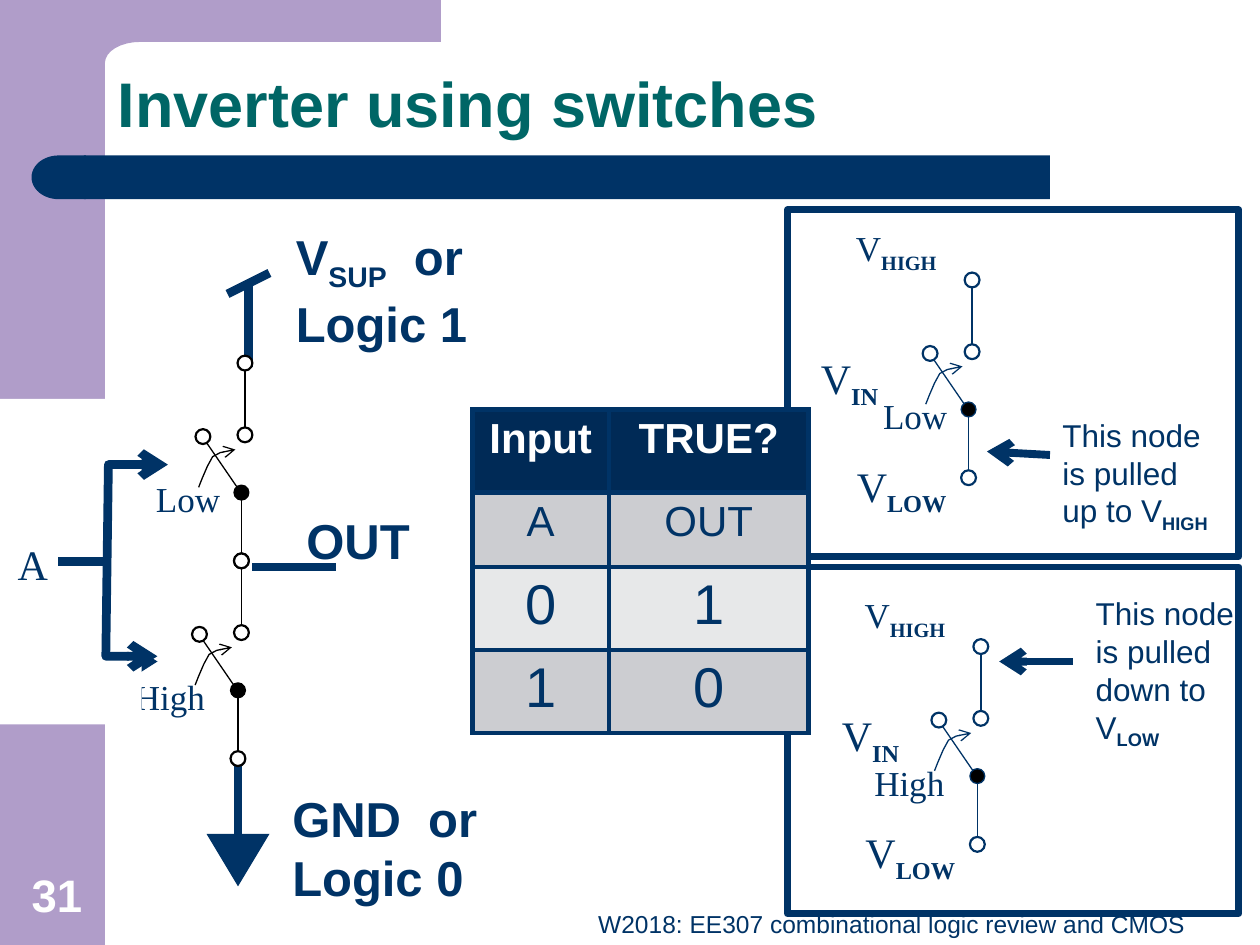
from math import cos, pi, sin

from lxml.etree import SubElement
from pptx import Presentation
from pptx.dml.color import RGBColor
from pptx.enum.shapes import MSO_CONNECTOR, MSO_SHAPE
from pptx.enum.text import MSO_ANCHOR, MSO_AUTO_SIZE, PP_ALIGN
from pptx.oxml.ns import qn
from pptx.util import Pt

COLOURS = {name: RGBColor.from_string(value) for name, value in {
    "navy": "003366", "teal": "006666", "lilac": "B09DC9", "white": "FFFFFF",
    "black": "000000", "header": "002A56", "dark band": "CCCDD1",
    "light band": "E7E8E9",
}.items()}
SERIF = "Times New Roman"

deck = Presentation()
deck.slide_width, deck.slide_height = Pt(720), Pt(540)
page = deck.slides.add_slide(deck.slide_layouts[5])
shapes = page.shapes


def write_text(text, frame=None, at=None, size=18, font="Arial", colour="navy",
               bold=False, align=PP_ALIGN.LEFT, anchor=MSO_ANCHOR.TOP, wrap=True):
    """Fill a frame, or a new box at (left, top, width, height).

    A newline starts a paragraph; text between underscores is a bold subscript.
    """
    if frame is None:
        frame = shapes.add_textbox(*map(Pt, at)).text_frame
    frame.word_wrap = wrap
    frame.auto_size = MSO_AUTO_SIZE.NONE
    frame.vertical_anchor = anchor
    for number, line in enumerate(text.split("\n")):
        para = frame.add_paragraph() if number else frame.paragraphs[0]
        para.alignment = align
        for position, part in enumerate(line.split("_")):
            if not part:
                continue
            subscript = position % 2 == 1
            span = para.add_run()
            span.text = part
            span.font.name, span.font.size = font, Pt(size)
            span.font.bold = bold or subscript
            span.font.color.rgb = COLOURS[colour]
            if subscript:
                span._r.get_or_add_rPr().set("baseline", "-25000")


def draw_line(points, colour="navy", weight=5, ends=()):
    """Draw a connector for two points or an open outline for more.

    ends holds "headEnd" and "tailEnd" for arrowheads at the start and the end.
    """
    points = [(Pt(x), Pt(y)) for x, y in points]
    if len(points) == 2:
        line = shapes.add_connector(MSO_CONNECTOR.STRAIGHT, *points[0], *points[1])
        SubElement(line._element.spPr, qn("a:effectLst"))
    else:
        builder = shapes.build_freeform(*points[0])
        builder.add_line_segments(points[1:], close=False)
        line = builder.convert_to_shape()
        line.fill.background()
        line.shadow.inherit = False
    line.line.color.rgb = COLOURS[colour]
    line.line.width = Pt(weight)
    for end in ends:
        SubElement(line.line._get_or_add_ln(), qn(f"a:{end}")).set("type", "arrow")


# Background decoration
corner = [(80 - 20 * sin(step * pi / 16), 36 - 12 * cos(step * pi / 16))
          for step in range(9)]
outline = [(252, 0), (252, 24), *corner, (36, 36), (36, 0)]
builder = shapes.build_freeform(Pt(252), Pt(0))
builder.add_line_segments([(Pt(x), Pt(y)) for x, y in outline[1:]])
decorations = [(builder.convert_to_shape(), "lilac")]
for kind, place, colour in [
    (MSO_SHAPE.RECTANGLE, (0, 0, 60, 540), "lilac"),
    (MSO_SHAPE.RECTANGLE, (48, 88.8, 552, 25), "navy"),
    (MSO_SHAPE.FLOWCHART_DELAY, (18, 88.8, 31, 25), "navy"),
    (MSO_SHAPE.ISOSCELES_TRIANGLE, (118, 476.5, 36, 30), "navy"),
]:
    decorations.append((shapes.add_shape(kind, *map(Pt, place)), colour))
for shape, colour in decorations:
    shape.shadow.inherit = False
    shape.fill.solid()
    shape.fill.fore_color.rgb = COLOURS[colour]
    shape.line.fill.background()
for shape, _ in decorations[-2:]:
    shape.rotation = 180

title = shapes.title
title.left, title.top, title.width, title.height = map(Pt, (60, 24, 624, 60))
write_text("Inverter using switches", title.text_frame, size=36, colour="teal",
           bold=True, anchor=MSO_ANCHOR.BOTTOM)
title.text_frame.paragraphs[0].line_spacing = 0.9
write_text("W2018: EE307 combinational logic review and CMOS",
           at=(246, 516, 438.5, 24), size=14, align=PP_ALIGN.RIGHT)

# Supply and ground
draw_line([(136, 435), (136, 483)])
draw_line([(142, 162), (142, 210)])
draw_line([(154, 156), (130, 168)])
write_text("GND  or\nLogic 0", at=(160, 447, 122, 75), size=28, bold=True, wrap=False)
write_text("V_SUP_  or\nLogic 1", at=(162, 126, 116, 75), size=28, bold=True, wrap=False)

# Switches, placed by the centre of the pivot dot
WIRES = [((0, 0), (0, 37)), ((1, 2), (-23, -33)), ((2, -33), (2, -75))]
CONTACTS = [(0, 0), (-22, -32), (2, -33), (0, 39), (2, -74)]
SWING = [(0, 0), (2, -5), (5, -12), (8, -17.5), (12.3, -19.8), (17, -20.8), (21, -21.6)]
for x, y, colour, level in [(138, 281.5, "black", "Low"), (136, 394.5, "black", "High"),
                            (553.5, 234, "navy", "Low"), (558.5, 443.5, "navy", "High")]:
    for wire in WIRES:
        draw_line([(x + dx, y + dy) for dx, dy in wire], colour, 0.75)
    for number, (dx, dy) in enumerate(CONTACTS):
        contact = shapes.add_shape(MSO_SHAPE.OVAL, Pt(x + dx - 4.25), Pt(y + dy - 4.25),
                                   Pt(8.5), Pt(8.5))
        contact.shadow.inherit = False
        contact.fill.solid()
        contact.fill.fore_color.rgb = COLOURS["white" if number else "black"]
        contact.line.color.rgb = COLOURS[colour]
        contact.line.width = Pt(1.25 if number else 0.75)
    draw_line([(x - 24.5 + dx, y - 3 + dy) for dx, dy in SWING], colour, 0.75, ["tailEnd"])
    write_text(level, at=(x - (56 if level == "Low" else 66), y - 12, 76, 44),
               size=20, font=SERIF)

# Labels of the two panels
for x, y, input_at, note, note_at, arrow in [
    (553.5, 234, (462, 198), "This node is pulled up to V_HIGH", (600, 234, 104.5, 73),
     [(600, 260), (564, 258)]),
    (558.5, 443.5, (474, 402), "This node is pulled down to V_LOW", (619, 336, 95, 94),
     [(613, 378), (571, 378)]),
]:
    write_text("V_HIGH", at=(x - 71.5, y - 108, 97, 40), size=20, font=SERIF)
    write_text("V_LOW", at=(x - 71, y + 25.5, 97, 40), size=24, font=SERIF)
    write_text("V_IN", at=(*input_at, 70.5, 40), size=24, font=SERIF)
    write_text(note, at=note_at)
    draw_line(arrow, weight=4.5, ends=["tailEnd"])

# Output and input wiring
draw_line([(144, 324), (192, 324)])
write_text("OUT", at=(168, 288, 74, 41), size=28, bold=True, wrap=False)
for y in (266, 378):
    draw_line([(42, y), (90, y)], ends=["tailEnd"])
backing = shapes.add_shape(MSO_SHAPE.RECTANGLE, 0, Pt(228), Pt(81), Pt(186))
backing.shadow.inherit = False
backing.fill.solid()
backing.fill.fore_color.rgb = COLOURS["white"]
backing.line.fill.background()
draw_line([(96, 265.5), (62, 265.5), (60.5, 375), (90, 375)], ends=["headEnd", "tailEnd"])
draw_line([(63, 321), (33, 321)])
write_text("A", at=(3, 304, 70, 39), size=24, font=SERIF)

for top in (120, 324):
    panel = shapes.add_shape(MSO_SHAPE.RECTANGLE, Pt(450), Pt(top), Pt(258), Pt(198))
    panel.shadow.inherit = False
    panel.fill.background()
    panel.line.color.rgb = COLOURS["navy"]
    panel.line.width = Pt(4)

# Truth table
ROWS = [
    (("Input", "TRUE?"), 47.5, 24, "white", "header"),
    (("A", "OUT"), 42.5, 24, "navy", "dark band"),
    (("0", "1"), 47.5, 32, "navy", "light band"),
    (("1", "0"), 47.5, 32, "navy", "dark band"),
]
table = shapes.add_table(4, 2, Pt(270), Pt(234), Pt(192), Pt(185)).table
table.columns[0].width, table.columns[1].width = Pt(78), Pt(114)
for row, (values, height, size, colour, fill) in enumerate(ROWS):
    table.rows[row].height = Pt(height)
    for column, value in enumerate(values):
        cell = table.cell(row, column)
        write_text(value, cell.text_frame, size=size, colour=colour, bold=row == 0,
                   align=PP_ALIGN.CENTER)
        properties = cell._tc.get_or_add_tcPr()
        for side in ("lnL", "lnR", "lnT", "lnB"):
            border = SubElement(properties, qn(f"a:{side}"), w=str(Pt(3)))
            paint = SubElement(border, qn("a:solidFill"))
            SubElement(paint, qn("a:srgbClr"), val=str(COLOURS["navy"]))
        cell.fill.solid()
        cell.fill.fore_color.rgb = COLOURS[fill]

write_text("31", at=(0, 492, 65, 38), size=26, colour="white", bold=True,
           align=PP_ALIGN.CENTER, anchor=MSO_ANCHOR.BOTTOM)

deck.save("out.pptx")
